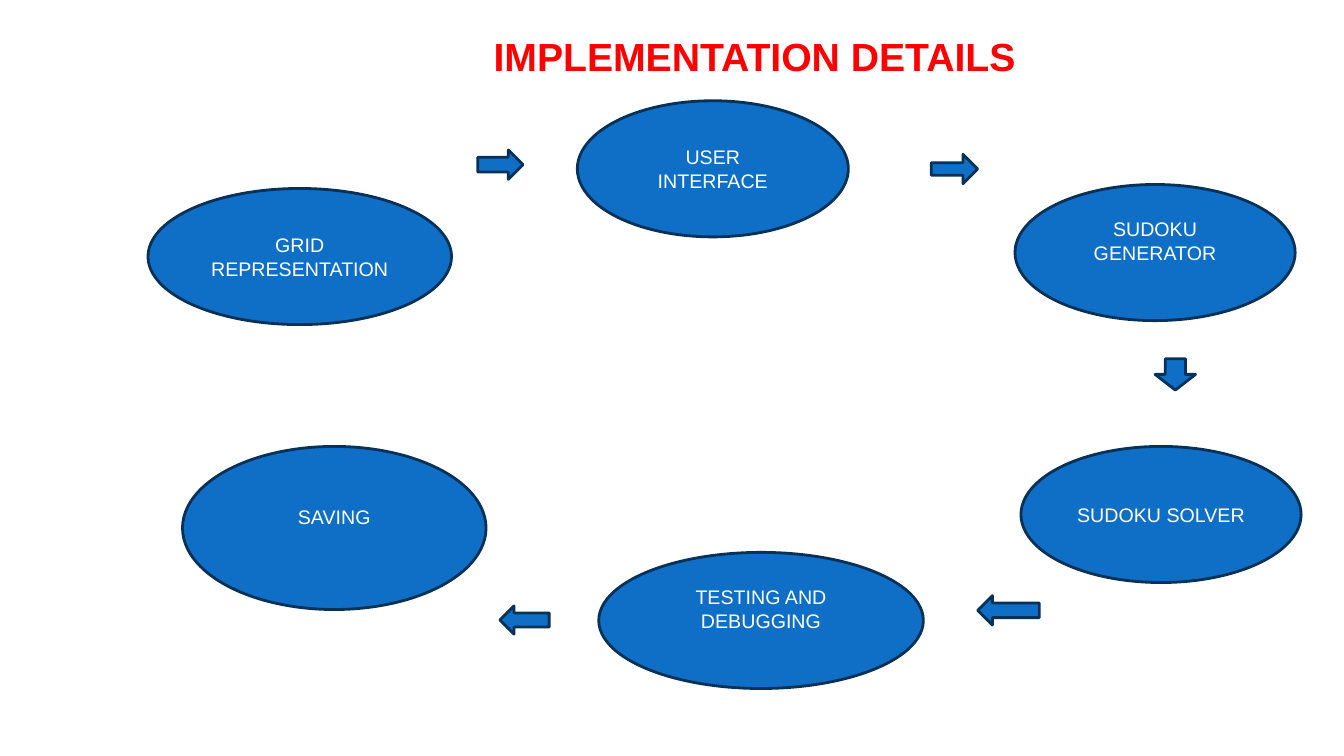
from dataclasses import dataclass

from pptx import Presentation
from pptx.dml.color import RGBColor
from pptx.enum.shapes import MSO_SHAPE
from pptx.enum.text import MSO_ANCHOR, MSO_AUTO_SIZE, PP_ALIGN
from pptx.shapes.autoshape import Shape
from pptx.slide import Slide
from pptx.util import Cm, Pt

OVAL = MSO_SHAPE.OVAL
RIGHT = MSO_SHAPE.RIGHT_ARROW
DOWN = MSO_SHAPE.DOWN_ARROW
LEFT = MSO_SHAPE.LEFT_ARROW
MIDDLE = MSO_ANCHOR.MIDDLE
CENTER = PP_ALIGN.CENTER
GROW = MSO_AUTO_SIZE.SHAPE_TO_FIT_TEXT

FONT = "Arial"
COLORS = {"fill": "0F6FC6", "edge": "073157", "text": "FFFFFF", "title": "FF0000"}


@dataclass
class Box:
    left: float
    top: float
    width: float
    height: float

    def place(self) -> tuple[Cm, Cm, Cm, Cm]:
        return Cm(self.left), Cm(self.top), Cm(self.width), Cm(self.height)


@dataclass
class Step:
    lines: tuple[str, ...]
    box: Box
    base: float = 0.13


@dataclass
class Arrow:
    kind: MSO_SHAPE
    box: Box
    shaft: float = 0.5


STEPS = [
    Step(("GRID REPRESENTATION",), Box(3.73, 4.75, 7.65, 3.43)),
    Step(("USER", "INTERFACE"), Box(14.55, 2.54, 6.83, 3.43)),
    Step(("SUDOKU GENERATOR",), Box(25.58, 4.65, 7.06, 3.43), 0.71),
    Step(("SUDOKU SOLVER",), Box(25.73, 11.25, 7.06, 3.43)),
    Step(("TESTING AND DEBUGGING",), Box(15.09, 13.92, 8.18, 3.43), 0.71),
    Step(("SAVING",), Box(4.6, 11.25, 7.65, 4.11), 0.71),
]
ARROWS = [
    Arrow(RIGHT, Box(12.04, 3.78, 1.14, 0.74)),
    Arrow(RIGHT, Box(23.47, 3.89, 1.17, 0.74), 0.425),
    Arrow(DOWN, Box(29.11, 9.04, 1.02, 0.79)),
    Arrow(LEFT, Box(24.64, 15.01, 1.55, 0.74)),
    Arrow(LEFT, Box(12.6, 15.27, 1.24, 0.71)),
]
TITLE = Box(12.19, 0.69, 16.94, 1.45)


def color(name: str) -> RGBColor:
    return RGBColor.from_string(COLORS[name])


def add_run(para, text: str, size: int, tint: str, bold: bool = False) -> None:
    run = para.add_run()
    run.text = text
    run.font.name = FONT
    run.font.size = Pt(size)
    run.font.bold = bold
    run.font.color.rgb = color(tint)


def add_form(slide: Slide, kind: MSO_SHAPE, box: Box) -> Shape:
    form = slide.shapes.add_shape(kind, *box.place())
    form.shadow.inherit = False
    form.fill.solid()
    form.fill.fore_color.rgb = color("fill")
    form.line.color.rgb = color("edge")
    form.line.width = Pt(2)
    return form


def add_step(slide: Slide, step: Step) -> None:
    frame = add_form(slide, OVAL, step.box).text_frame
    frame.word_wrap = True
    frame.vertical_anchor = MIDDLE
    frame.margin_bottom = Cm(step.base)
    for i, line in enumerate(step.lines):
        para = frame.add_paragraph() if i else frame.paragraphs[0]
        para.alignment = CENTER
        add_run(para, line, 14, "text")


def add_arrow(slide: Slide, arrow: Arrow) -> None:
    form = add_form(slide, arrow.kind, arrow.box)
    form.adjustments[0] = arrow.shaft


def add_title(slide: Slide) -> None:
    frame = slide.shapes.add_textbox(*TITLE.place()).text_frame
    frame.word_wrap = True
    frame.auto_size = GROW
    add_run(frame.paragraphs[0], "IMPLEMENTATION DETAILS", 28, "title", True)


def main() -> None:
    deck = Presentation()
    deck.slide_width = Cm(33.87)
    deck.slide_height = Cm(19.05)
    slide = deck.slides.add_slide(deck.slide_layouts[6])
    for step in STEPS:
        add_step(slide, step)
    for arrow in ARROWS:
        add_arrow(slide, arrow)
    add_title(slide)
    deck.save("out.pptx")


if __name__ == "__main__":
    main()
